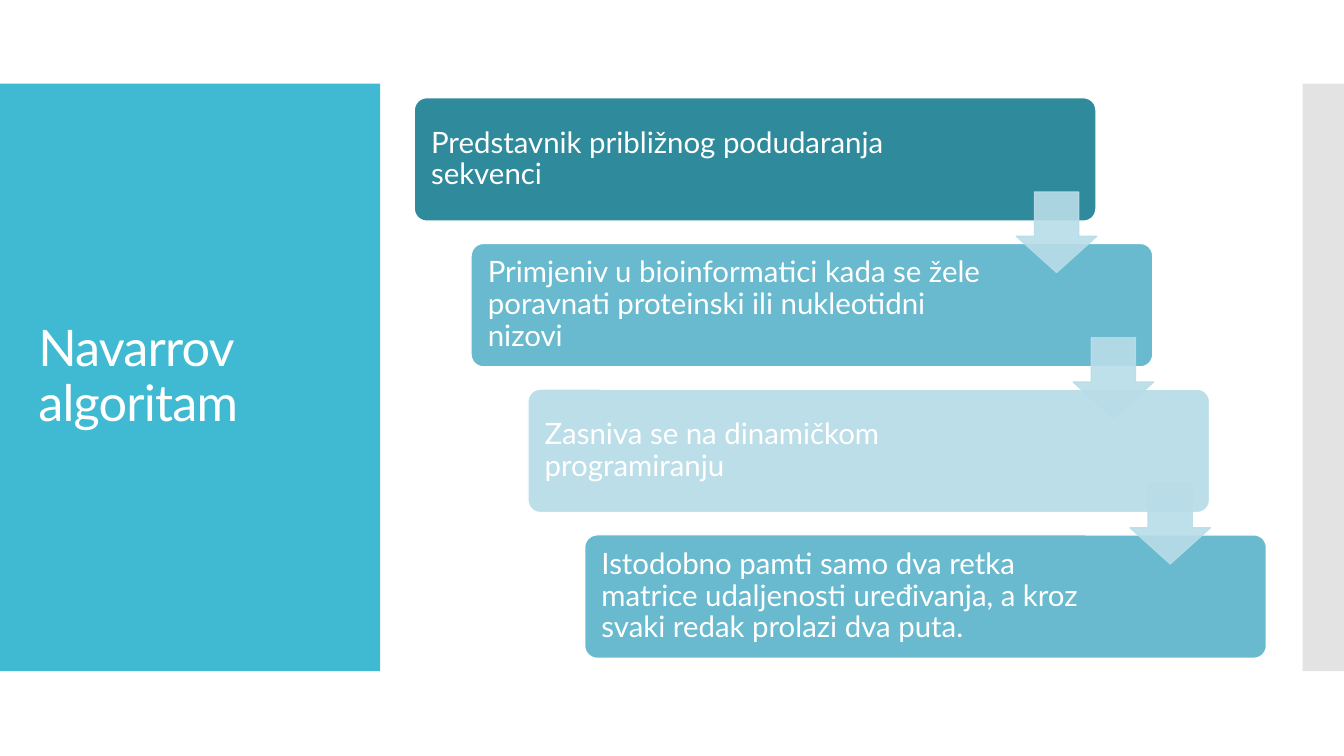
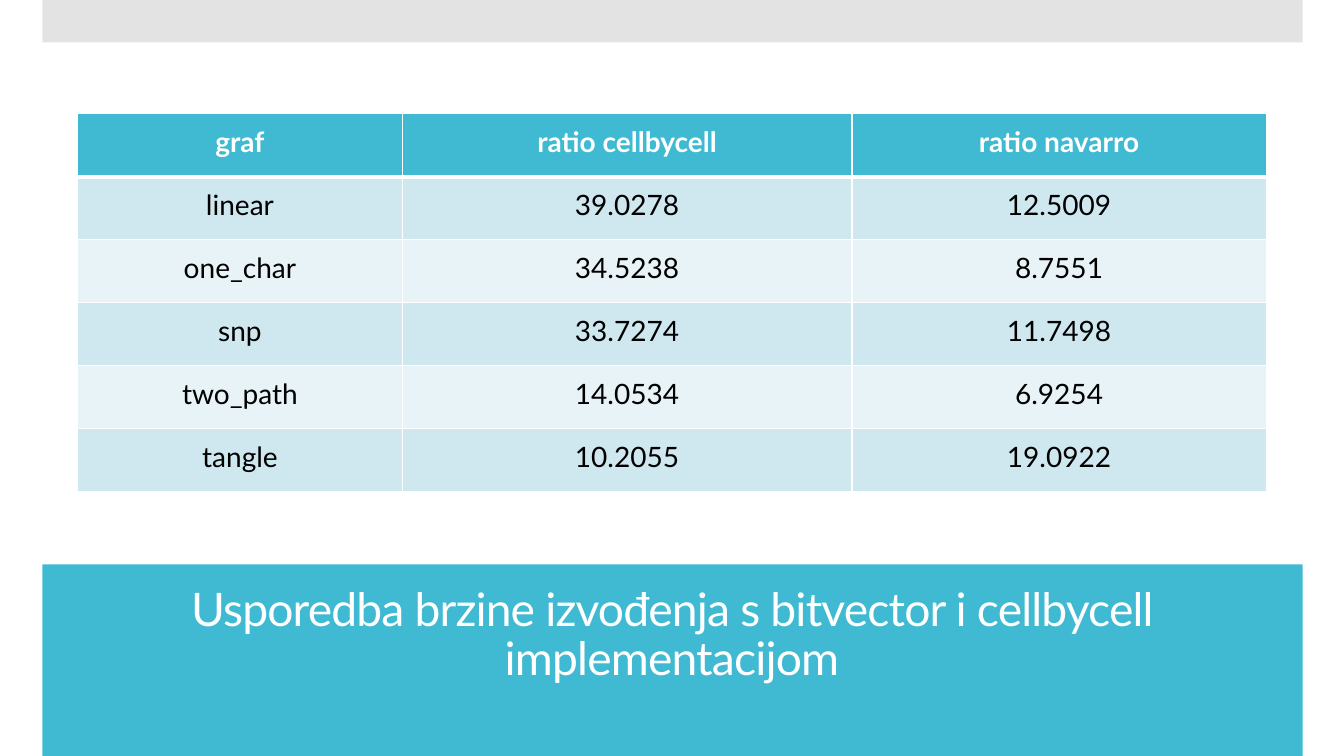
from dataclasses import dataclass
from typing import NamedTuple

from lxml.etree import SubElement
from pptx import Presentation
from pptx.dml.color import RGBColor
from pptx.enum.shapes import MSO_SHAPE as Preset
from pptx.enum.text import MSO_ANCHOR as Anchor, MSO_AUTO_SIZE as AutoSize, PP_ALIGN as Align
from pptx.oxml.ns import qn
from pptx.util import Inches, Pt


@dataclass(frozen=True)
class Theme:
    font: str = "Lato"
    accent: str = "40BAD2"
    side: str = "C8C8C8"
    white: str = "FFFFFF"
    black: str = "000000"
    arrow: str = "B8DDE8"
    steps: tuple = ("2F8A9B", "69BACE", "BCDEE8", "69BACE")
    stripes: tuple = ("E8F3F7", "CFE7EE")
    side_title_size: int = 36
    band_title_size: int = 33
    step_size: int = 21
    table_size: int = 20
    outline: float = 0.85


class Box(NamedTuple):
    left: float
    top: float
    width: float
    height: float

    def lengths(self):
        return [Inches(value) for value in self]


THEME = Theme()


def rgb(color):
    return RGBColor.from_string(color)


def set_alpha(fill_parent, percent):
    for color in fill_parent.iter(qn("a:srgbClr")):
        SubElement(color, qn("a:alpha"), val=str(percent * 1000))


def add_block(slide, preset, box, color, alpha=100, line=None):
    shape = slide.shapes.add_shape(preset, *box.lengths())
    shape.shadow.inherit = False
    shape.fill.solid()
    shape.fill.fore_color.rgb = rgb(color)
    if line:
        shape.line.color.rgb = rgb(line)
        shape.line.width = Pt(THEME.outline)
    else:
        shape.line.fill.background()
    if alpha < 100:
        set_alpha(shape.element.spPr, alpha)
    return shape


def format_paragraph(paragraph, size, color, align=Align.LEFT, bold=False, spacing=None):
    paragraph.alignment = align
    paragraph.line_spacing = spacing
    for run in paragraph.runs:
        run.font.name = THEME.font
        run.font.size = Pt(size)
        run.font.bold = bold
        run.font.color.rgb = rgb(color)


def add_bands(slide, accent_box, side_box):
    add_block(slide, Preset.RECTANGLE, accent_box, THEME.accent)
    add_block(slide, Preset.RECTANGLE, side_box, THEME.side, alpha=50)


def place_title(slide, box, text, size, align):
    title = slide.shapes.title
    title.left, title.top, title.width, title.height = box.lengths()
    frame = title.text_frame
    frame.text = text
    frame.word_wrap = True
    frame.auto_size = AutoSize.NONE
    frame.vertical_anchor = Anchor.MIDDLE
    paragraph = frame.paragraphs[0]
    format_paragraph(paragraph, size, THEME.white, align, spacing=0.9)
    for run in paragraph.runs:
        run.font._element.set("spc", "-60")
    title.element.getparent().append(title.element)


def add_step(slide, box, text, color):
    step = add_block(slide, Preset.ROUNDED_RECTANGLE, box, color, line=THEME.white)
    step.adjustments[0] = 0.1
    frame = step.text_frame
    frame.text = text
    frame.word_wrap = True
    frame.vertical_anchor = Anchor.MIDDLE
    frame.margin_left, frame.margin_right = Inches(0.13), Inches(1.47)
    frame.margin_top = frame.margin_bottom = Inches(0.09)
    format_paragraph(frame.paragraphs[0], THEME.step_size, THEME.white, spacing=0.9)


def add_staircase(slide, box, texts):
    width, height, arrow_size = box.width * 0.8, box.height * 0.22, 0.8
    gaps = len(texts) - 1
    shift, drop = (box.width - width) / gaps, (box.height - height) / gaps
    places = [Box(box.left + i * shift, box.top + i * drop, width, height)
              for i in range(len(texts))]
    for place, text, color in zip(places, texts, THEME.steps):
        add_step(slide, place, text, color)
    for place in places[:-1]:
        gap_middle = place.top + (height + drop) / 2
        arrow_box = Box(place.left + width - arrow_size + 0.01,
                        gap_middle - arrow_size / 2, arrow_size, arrow_size)
        arrow = add_block(slide, Preset.DOWN_ARROW, arrow_box, THEME.arrow, 90, THEME.arrow)
        arrow.adjustments[0], arrow.adjustments[1] = 0.55, 0.45


def add_cell_borders(cell, bottom):
    properties = cell._tc.get_or_add_tcPr()
    for side, points in (("L", 1), ("R", 1), ("T", 1), ("B", bottom)):
        line = SubElement(properties, qn(f"a:ln{side}"), w=str(Pt(points)))
        fill = SubElement(line, qn("a:solidFill"))
        SubElement(fill, qn("a:srgbClr"), val=THEME.white)


def format_cell(cell, text, is_header, fill):
    cell.text = text
    cell.margin_left = cell.margin_right = Inches(0.11)
    cell.margin_top = cell.margin_bottom = Inches(0.11)
    add_cell_borders(cell, 3 if is_header else 1)
    cell.fill.solid()
    cell.fill.fore_color.rgb = rgb(fill)
    color = THEME.white if is_header else THEME.black
    format_paragraph(cell.text_frame.paragraphs[0], THEME.table_size, color,
                     Align.CENTER, is_header)


def add_ratio_table(slide, box, rows, column_widths):
    frame = slide.shapes.add_table(len(rows), len(column_widths), *box.lengths())
    table = frame.table
    for column, width in zip(table.columns, column_widths):
        column.width = Inches(width)
    for row_index, values in enumerate(rows):
        table.rows[row_index].height = Inches(box.height / len(rows))
        fill = THEME.stripes[row_index % 2] if row_index else THEME.accent
        for column_index, value in enumerate(values):
            format_cell(table.cell(row_index, column_index), value, row_index == 0, fill)


def add_title_only_slide(presentation):
    slide = presentation.slides.add_slide(presentation.slide_layouts[5])
    slide.background.fill.solid()
    slide.background.fill.fore_color.rgb = rgb(THEME.white)
    return slide


def build_steps_slide(presentation, title, texts):
    slide = add_title_only_slide(presentation)
    add_bands(slide, Box(0, 0.83, 3.77, 5.83), Box(12.92, 0.83, 0.41, 5.83))
    place_title(slide, Box(0.28, 1.23, 3.22, 5.03), title, THEME.side_title_size, Align.LEFT)
    add_staircase(slide, Box(4.11, 0.97, 8.45, 5.56), texts)


def build_table_slide(presentation, title, rows):
    slide = add_title_only_slide(presentation)
    add_bands(slide, Box(0.42, 5.6, 12.5, 1.9), Box(0.42, 0, 12.5, 0.42))
    place_title(slide, Box(0.7, 5.75, 11.93, 1.12), title, THEME.band_title_size, Align.CENTER)
    add_ratio_table(slide, Box(0.77, 1.13, 11.79, 3.75), rows, (3.22, 4.46, 4.11))


def main():
    presentation = Presentation()
    presentation.slide_width, presentation.slide_height = Inches(13.33), Inches(7.5)
    build_steps_slide(presentation, "Navarrov algoritam", (
        "Predstavnik približnog podudaranja sekvenci",
        "Primjeniv u bioinformatici kada se žele poravnati proteinski ili nukleotidni nizovi",
        "Zasniva se na dinamičkom programiranju",
        "Istodobno pamti samo dva retka matrice udaljenosti uređivanja, "
        "a kroz svaki redak prolazi dva puta.",
    ))
    build_table_slide(
        presentation,
        "Usporedba brzine izvođenja s bitvector i cellbycell implementacijom",
        (
            ("graf", "ratio cellbycell", "ratio navarro"),
            ("linear", "39.0278", "12.5009"),
            ("one_char", "34.5238", "8.7551"),
            ("snp", "33.7274", "11.7498"),
            ("two_path", "14.0534", "6.9254"),
            ("tangle", "10.2055", "19.0922"),
        ),
    )
    presentation.save("out.pptx")


main()
